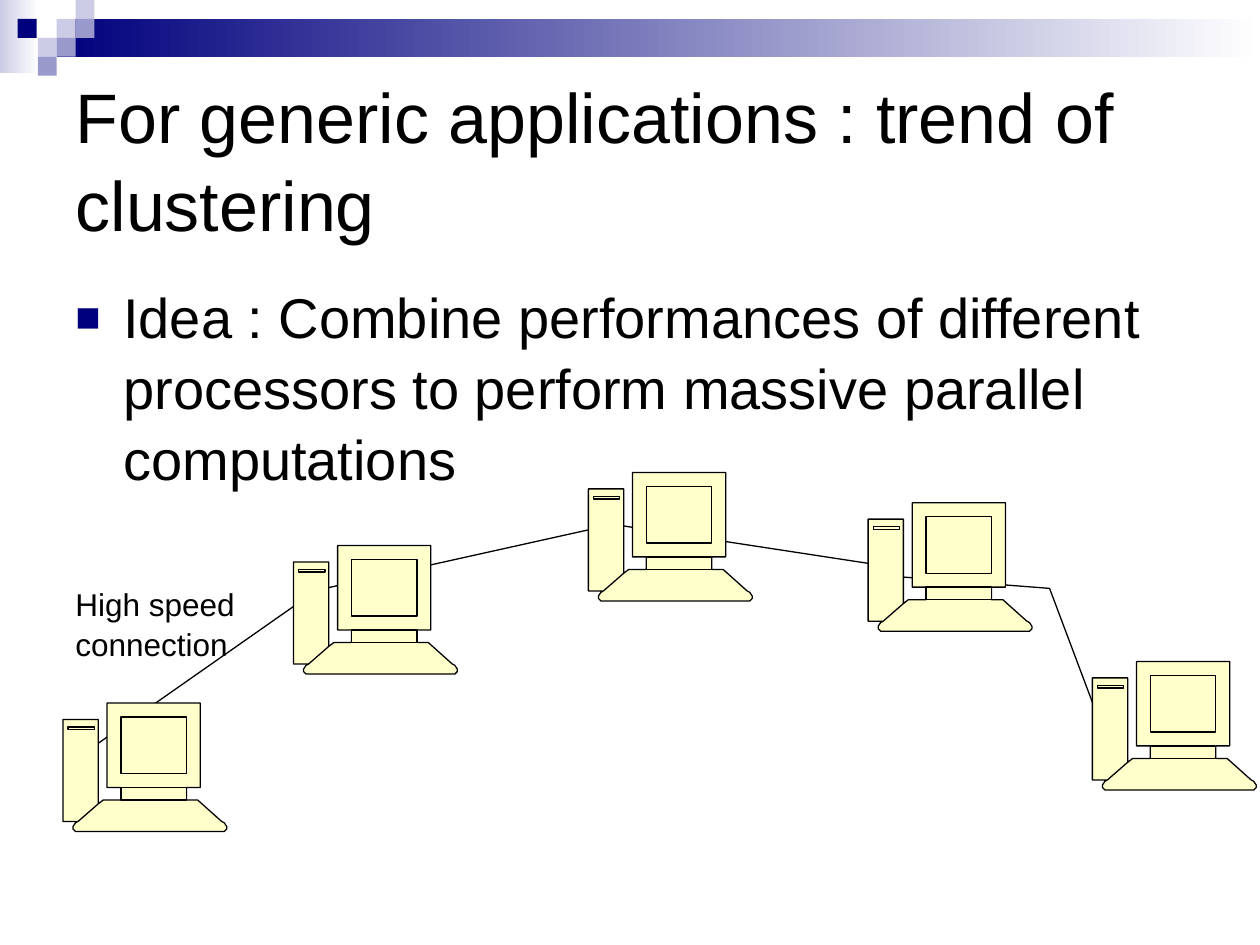
from lxml import etree
from pptx import Presentation
from pptx.dml.color import RGBColor
from pptx.enum import shapes, text
from pptx.oxml import parse_xml
from pptx.oxml.ns import nsdecls, qn
from pptx.util import Inches, Pt

BLACK = RGBColor(0x00, 0x00, 0x00)
WHITE = RGBColor(0xFF, 0xFF, 0xFF)
NAVY = RGBColor(0x00, 0x00, 0x7D)
LILAC = RGBColor(0x99, 0x99, 0xCC)
PALE = RGBColor(0xCC, 0xCC, 0xE6)
CREAM = RGBColor(0xFF, 0xFF, 0xCC)

FONT = "Arial"
TILE = 0.15
TILES = [(0.45, 0.15, PALE), (0.6, 0, PALE), (0.6, 0.15, LILAC),
         (0.3, 0.3, PALE), (0.14, 0.15, NAVY), (0.45, 0.3, LILAC),
         (0.3, 0.45, LILAC)]

LINKS = [((8.33, 4.67), (8.83, 6)), ((7.17, 4.58), (8.33, 4.67)),
         ((4.92, 4.17), (7.08, 4.5)), ((2.58, 4.67), (4.83, 4.17)),
         ((0.75, 5.92), (2.42, 4.75))]
COMPUTERS = [(0.5, 5.58), (2.33, 4.33), (4.67, 3.75), (6.89, 3.99), (8.67, 5.25)]

# Computer outline in hundredths of an inch, from its top left corner
OUTLINE = [(28, 80), (32, 77), (46, 77), (46, 67), (35, 67), (35, 0), (109, 0),
           (109, 67), (98, 67), (98, 77), (107, 77), (126, 94), (128, 95),
           (130, 98), (130, 100), (128, 102), (126, 102), (12, 102), (10, 102),
           (8, 100), (8, 98), (10, 95), (12, 94), (0, 94), (0, 13), (28, 13),
           (28, 80), (12, 94)]
SCREEN = (0.46, 0.11, 0.52, 0.45)
NECK = (0.46, 0.67, 0.52, 0.1)
SLOT = (0.04, 0.19, 0.21, 0.02)


def add_rect(parent, x, y, w, h):
    sp = parent.add_shape(shapes.MSO_SHAPE.RECTANGLE,
                          Inches(x), Inches(y), Inches(w), Inches(h))
    sp.shadow.inherit = False
    sp.line.fill.background()
    return sp


def style_part(sp):
    sp.shadow.inherit = False
    sp.fill.solid()
    sp.fill.fore_color.rgb = CREAM
    sp.line.color.rgb = BLACK
    sp.line.width = Pt(0.75)


def add_fade(slide, box, color):
    """Rectangle fading from color on the left to white."""
    fill = add_rect(slide.shapes, *box).fill
    fill.gradient()
    fill.gradient_angle = 0
    for stop, rgb in zip(fill.gradient_stops, (color, WHITE)):
        stop.color.rgb = rgb


def add_header(slide):
    add_fade(slide, (0, 0, 0.31, 0.58), PALE)
    add_fade(slide, (0.45, 0.15, 9.55, 0.3), NAVY)
    for x, y, color in TILES:
        fill = add_rect(slide.shapes, x, y, TILE, TILE).fill
        fill.solid()
        fill.fore_color.rgb = color


def add_link(slide, start, end):
    line = slide.shapes.add_connector(
        shapes.MSO_CONNECTOR.STRAIGHT, *map(Inches, start + end))
    line.line.color.rgb = BLACK
    line.line.width = Pt(0.75)
    etree.SubElement(line._element.spPr, qn("a:effectLst"))


def add_computer(slide, x, y):
    group = slide.shapes.add_group_shape()
    builder = group.shapes.build_freeform(*OUTLINE[0], scale=Inches(0.01))
    builder.add_line_segments(OUTLINE[1:], close=True)
    style_part(builder.convert_to_shape(Inches(x), Inches(y)))
    for dx, dy, w, h in (SCREEN, NECK, SLOT):
        style_part(add_rect(group.shapes, x + dx, y + dy, w, h))


def write(tf, lines, size):
    tf.auto_size = text.MSO_AUTO_SIZE.NONE
    for i, line in enumerate(lines):
        p = tf.add_paragraph() if i else tf.paragraphs[0]
        p.alignment = text.PP_ALIGN.LEFT
        p.line_spacing = 1.05
        r = p.add_run()
        r.text = line
        r.font.name = FONT
        r.font.size = Pt(size)
        r.font.color.rgb = BLACK


def add_title(slide, box, line):
    title = slide.shapes.title
    title.left, title.top, title.width, title.height = map(Inches, box)
    title.text_frame.vertical_anchor = text.MSO_ANCHOR.MIDDLE
    write(title.text_frame, [line], 40)


def add_text(slide, box, lines, size, wrap):
    tf = slide.shapes.add_textbox(*map(Inches, box)).text_frame
    tf.word_wrap = wrap
    write(tf, lines, size)
    return tf


def add_bullet(p, indent):
    pPr = p._p.get_or_add_pPr()
    pPr.set("marL", str(Inches(indent)))
    pPr.set("indent", str(-Inches(indent)))
    for tag in (f'buClr {nsdecls("a")}><a:srgbClr val="{NAVY}"/></a:buClr',
                f'buSzPct {nsdecls("a")} val="75000"/',
                f'buFont {nsdecls("a")} typeface="{FONT}"/',
                f'buChar {nsdecls("a")} char="■"/'):
        pPr.append(parse_xml(f"<a:{tag}>"))


def main():
    prs = Presentation()
    prs.slide_width, prs.slide_height = Inches(10), Inches(7.5)
    slide = prs.slides.add_slide(prs.slide_layouts[5])
    add_header(slide)
    for start, end in LINKS:
        add_link(slide, start, end)
    add_title(slide, (0.5, 0.5, 9, 1.5),
              "For generic applications : trend of clustering")
    body = add_text(slide, (0.5, 2.17, 9, 4.25),
                    ["Idea : Combine performances of different processors "
                     "to perform massive parallel computations"], 32, True)
    add_bullet(body.paragraphs[0], 0.38)
    for x, y in COMPUTERS:
        add_computer(slide, x, y)
    add_text(slide, (0.5, 4.58, 1.46, 0.7), ["High speed", "connection"], 18, False)
    prs.save("out.pptx")


if __name__ == "__main__":
    main()
